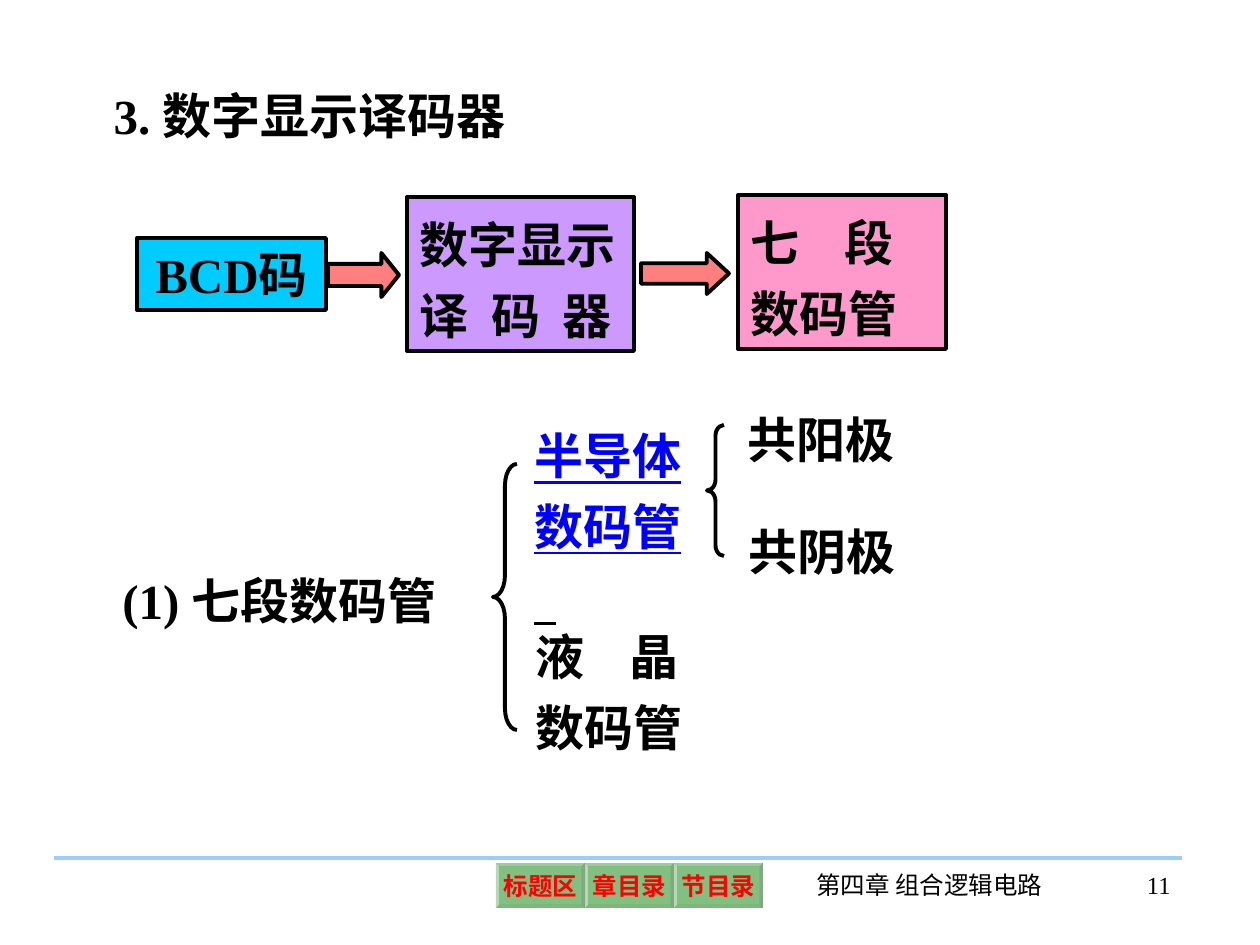
from lxml.etree import SubElement
from pptx import Presentation
from pptx.dml.color import RGBColor
from pptx.enum.shapes import MSO_CONNECTOR, MSO_SHAPE
from pptx.enum.text import MSO_ANCHOR, MSO_AUTO_SIZE, PP_ALIGN
from pptx.oxml.ns import qn
from pptx.util import Emu, Pt

PX_PER_INCH = 126
BLACK, BLUE, RED, GREEN = "000000", "0000FF", "FF0000", "008000"


def px(n):
    return Emu(round(n * 914400 / PX_PER_INCH))


def rgb(value):
    return RGBColor.from_string(value)


class SlideBuilder:
    font = "Times New Roman"
    size = 28
    line_width = 2.25

    def __init__(self, slide):
        self.s = slide

    def add_lines(self, sp, lines, size=size, bold=True, align=PP_ALIGN.LEFT,
                  spacing=None, wrap=True, grow=True):
        """Each line is a list of (text, options) runs; gap is in points."""
        tf = sp.text_frame
        tf.word_wrap = wrap
        tf.auto_size = MSO_AUTO_SIZE.SHAPE_TO_FIT_TEXT if grow else MSO_AUTO_SIZE.NONE
        tf.vertical_anchor = MSO_ANCHOR.TOP
        for i, line in enumerate(lines):
            p = tf.add_paragraph() if i else tf.paragraphs[0]
            p.alignment = align
            if spacing:
                p.line_spacing = spacing
            for text, opts in line:
                r = p.add_run()
                r.text = text
                r.font.name = self.font
                r.font.size = Pt(size)
                r.font.bold = bold
                r.font.color.rgb = rgb(opts.get("color", BLACK))
                if opts.get("underline"):
                    r.font.underline = True
                rPr = r._r.get_or_add_rPr()
                rPr.set("lang", "zh-CN")
                if "gap" in opts:
                    rPr.set("spc", str(opts["gap"] * 100))

    def title(self, x, y, w, h, text):
        sp = self.s.shapes.title
        sp.left, sp.top, sp.width, sp.height = map(px, (x, y, w, h))
        self.add_lines(sp, [[(text, {})]])

    def text(self, x, y, w, h, lines, **style):
        sp = self.s.shapes.add_textbox(px(x), px(y), px(w), px(h))
        self.add_lines(sp, lines, **style)

    def shape(self, kind, x, y, w, h, fill=None, opacity=None, outline=True, adj=()):
        sp = self.s.shapes.add_shape(kind, px(x), px(y), px(w), px(h))
        sp.shadow.inherit = False
        for i, value in enumerate(adj):
            sp.adjustments[i] = value
        if fill:
            sp.fill.solid()
            sp.fill.fore_color.rgb = rgb(fill)
            if opacity:
                color = sp._element.spPr.find(qn("a:solidFill"))[0]
                SubElement(color, qn("a:alpha")).set("val", str(opacity * 1000))
        else:
            sp.fill.background()
        if outline:
            sp.line.color.rgb = rgb(BLACK)
            sp.line.width = Pt(self.line_width)
        else:
            sp.line.fill.background()
        return sp

    def box(self, x, y, w, h, fill, lines, **style):
        sp = self.shape(MSO_SHAPE.RECTANGLE, x, y, w, h, fill)
        self.add_lines(sp, lines, **style)

    def arrow(self, x, y, w, h, head):
        self.shape(MSO_SHAPE.RIGHT_ARROW, x, y, w, h, RED, 50, adj=(0.5, head))

    def brace(self, x, y, w, h, curl):
        self.shape(MSO_SHAPE.LEFT_BRACE, x, y, w, h, adj=(curl, 0.5))

    def button(self, x, y, w, h, text):
        sp = self.shape(MSO_SHAPE.BEVEL, x, y, w, h, GREEN, 49, False, (0.07,))
        self.add_lines(sp, [[(text, {"color": RED})]], size=14,
                       align=PP_ALIGN.CENTER, wrap=False, grow=False)
        tf = sp.text_frame
        tf.vertical_anchor = MSO_ANCHOR.MIDDLE
        tf.margin_left = tf.margin_right = tf.margin_top = tf.margin_bottom = px(5)

    def line(self, x1, y1, x2, y2, color):
        c = self.s.shapes.add_connector(MSO_CONNECTOR.STRAIGHT,
                                        px(x1), px(y1), px(x2), px(y2))
        c.line.color.rgb = rgb(color)
        c.line.width = Pt(self.line_width)
        SubElement(c._element.spPr, qn("a:effectLst"))


def main():
    prs = Presentation()
    prs.slide_width, prs.slide_height = px(1260), px(945)
    b = SlideBuilder(prs.slides.add_slide(prs.slide_layouts[5]))

    # Title
    b.title(101, 79, 1058, 72, "3. 数字显示译码器")

    # Decoder chain
    b.box(137, 238, 189, 72, "00CCFF", [[("BCD码", {})]],
          align=PP_ALIGN.CENTER, wrap=False)
    b.box(407, 197, 227, 154, "CC99FF",
          [[("数字显示", {})], [("译码", {"gap": 13}), ("器", {})]], spacing=1.2)
    b.box(738, 195, 208, 154, "FF99CC",
          [[("七", {"gap": 26}), ("段", {})], [("数码管", {})]], spacing=1.2)
    b.arrow(328, 253, 71, 44, 0.4)
    b.arrow(641, 253, 88, 41, 0.54)

    # Kinds of seven-segment display
    b.text(110, 564, 372, 131, [[("(1) 七段数码管", {})]])
    b.brace(493, 464, 24, 266, 0.9)
    link = {"color": BLUE, "underline": True}
    b.text(522, 408, 176, 224,
           [[("半导体", link)],
            [("数码管", link), ("   ", {"underline": True})]], spacing=1.2)
    b.text(523, 609, 176, 224,
           [[("液", {"gap": 26}), ("晶", {})], [("数码管", {})]], spacing=1.2)

    # Electrode types
    b.brace(707, 425, 17, 131, 0.63)
    for x, y, name in ((735, 403, "共阳极"), (736, 515, "共阴极")):
        b.text(x, y, 176, 131, [[(name, {})]])

    # Footer
    b.line(54, 858, 1182, 858, "99CCFF")
    for i, name in enumerate(("标题区", "章目录", "节目录")):
        b.button(496 + 89 * i, 863, 89, 45, name)
    footer = {"size": 14, "bold": False, "grow": False}
    b.text(786, 864, 287, 63, [[("第四章 组合逻辑电路", {})]],
           align=PP_ALIGN.CENTER, **footer)
    b.text(1075, 864, 108, 63, [[("11", {})]], align=PP_ALIGN.RIGHT, **footer)

    prs.save("out.pptx")


if __name__ == "__main__":
    main()
